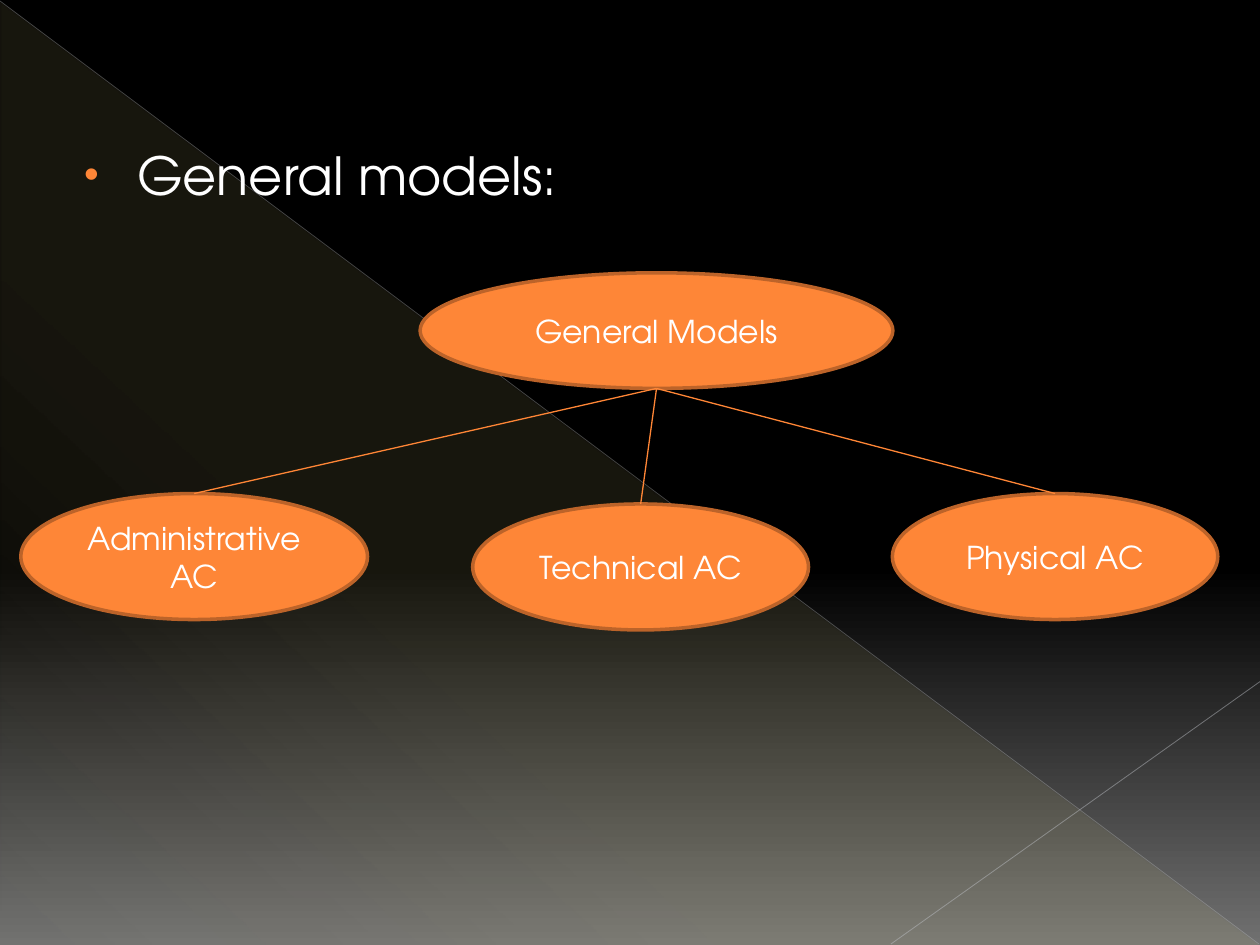
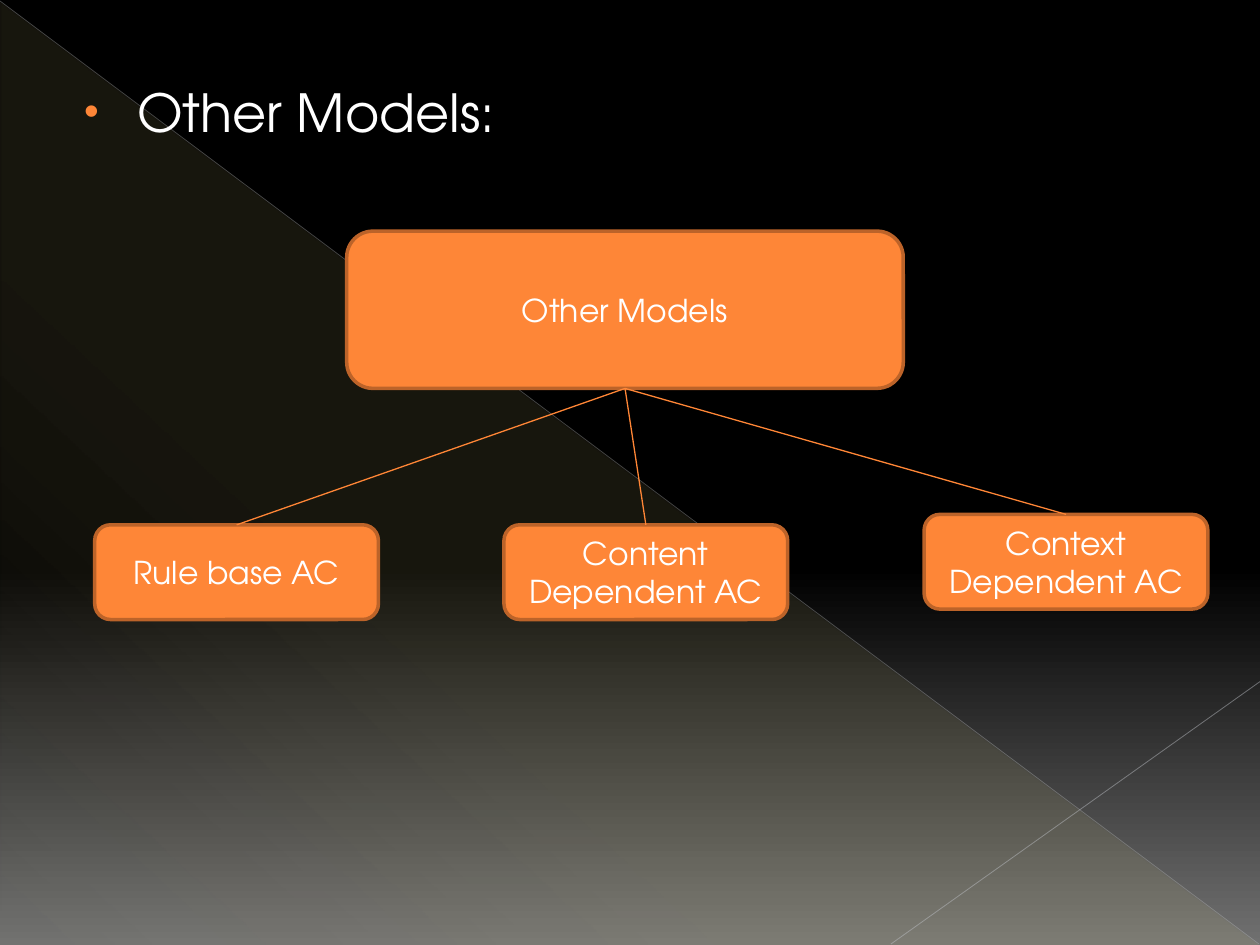
import pptx
import pptx.util
import pptx.dml.color
import pptx.enum.shapes
import pptx.enum.text
import pptx.oxml
import pptx.oxml.ns
import lxml.etree

Cm, Pt, qn = pptx.util.Cm, pptx.util.Pt, pptx.oxml.ns.qn
SHAPES = pptx.enum.shapes.MSO_SHAPE

FONT = "TeX Gyre Adventor"
COLORS = {
    "black": "000000",
    "floor": "707070",
    "beam": "FFF39D",
    "beam_edge": "BABDC4",
    "cross_edge": "C1C4CA",
    "node": "FE8637",
    "node_edge": "BC6329",
    "branch": "FF8636",
    "text": "FFFFFF",
}


def rgb(name):
    return pptx.dml.color.RGBColor.from_string(COLORS[name])


def add_child(parent, tag, **attributes):
    child = lxml.etree.SubElement(parent, qn(tag))
    for key, value in attributes.items():
        child.set(key, str(value))
    return child


def set_gradient(fill, owner, stops, angle):
    """Give the first gradient inside owner its (position, color, opacity) stops."""
    fill.gradient()
    gradient = next(owner.iter(qn("a:gradFill")))
    for child in list(gradient):
        gradient.remove(child)
    stop_list = add_child(gradient, "a:gsLst")
    for position, color, opacity in stops:
        stop = add_child(stop_list, "a:gs", pos=position * 1000)
        paint = add_child(stop, "a:srgbClr", val=COLORS[color])
        if opacity < 100:
            add_child(paint, "a:alpha", val=opacity * 1000)
    add_child(gradient, "a:lin", ang=angle * 60000, scaled=0)


def style_text(paragraph, size):
    for run in paragraph.runs:
        run.font.name = FONT
        run.font.size = Pt(size)
        run.font.color.rgb = rgb("text")


def add_line(slide, start, end, color, width, opacity=100):
    line = slide.shapes.add_connector(
        pptx.enum.shapes.MSO_CONNECTOR.STRAIGHT, *start, *end)
    line.line.color.rgb = rgb(color)
    line.line.width = Pt(width)
    if opacity < 100:
        paint = next(line._element.iter(qn("a:srgbClr")))
        add_child(paint, "a:alpha", val=opacity * 1000)
    add_child(line._element.spPr, "a:effectLst")
    return line


def build_backdrop(master, slide):
    """Draw the light beam on the slide, then move it to the master."""
    set_gradient(master.background.fill, master._element,
                 [(0, "black", 100), (60, "black", 100), (100, "floor", 100)], 90)

    beam = slide.shapes.add_shape(
        SHAPES.RIGHT_TRIANGLE, Cm(0.02), Cm(0.04), Cm(25.36), Cm(19))
    beam.shadow.inherit = False
    beam.line.fill.background()
    set_gradient(beam.fill, beam._element,
                 [(0, "beam", 10), (70, "beam", 8), (100, "beam", 1)], 133)

    beam_edge = add_line(slide, (Cm(0), Cm(0.02)), (Cm(25.38), Cm(19.03)),
                         "beam_edge", 0.39, 35)
    cross_edge = add_line(slide, (Cm(25.4), Cm(13.74)), (Cm(17.96), Cm(19.03)),
                          "cross_edge", 0.47, 45)

    master_tree = master.shapes._spTree
    for index, part in enumerate((beam, beam_edge, cross_edge), start=2):
        master_tree.insert(index, part._element)


def add_heading(slide, text, top, height):
    """Place the bulleted heading in the body placeholder."""
    body = slide.placeholders[1]
    body.left, body.top = Cm(1.27), Cm(top)
    body.width, body.height = Cm(22.86), Cm(height)
    body.text_frame.text = text
    heading = body.text_frame.paragraphs[0]
    style_text(heading, 30)

    properties = heading._p.get_or_add_pPr()
    properties.set("marL", str(Cm(1.24)))
    properties.set("indent", str(Cm(-1.07)))
    bullet_color = add_child(properties, "a:buClr")
    add_child(bullet_color, "a:srgbClr", val=COLORS["node"])
    add_child(properties, "a:buSzPct", val=80000)
    add_child(properties, "a:buFont", typeface="Arial")
    add_child(properties, "a:buChar", char="•")


def add_node(slide, outline, text, left, top, width, height):
    node = slide.shapes.add_shape(
        outline, Cm(left), Cm(top), Cm(width), Cm(height))
    node.shadow.inherit = False
    node.fill.solid()
    node.fill.fore_color.rgb = rgb("node")
    node.line.color.rgb = rgb("node_edge")
    node.line.width = Pt(2)
    frame = node.text_frame
    frame.word_wrap = True
    frame.vertical_anchor = pptx.enum.text.MSO_ANCHOR.MIDDLE
    frame.text = text
    frame.paragraphs[0].alignment = pptx.enum.text.PP_ALIGN.CENTER
    style_text(frame.paragraphs[0], 18)
    return node


def add_tree(slide, outline, root, children):
    """Draw a root node with a branch to the top of each child."""
    root_node = add_node(slide, outline, *root)
    child_nodes = [add_node(slide, outline, *child) for child in children]
    root_foot = (root_node.left + root_node.width // 2,
                 root_node.top + root_node.height)
    for child in child_nodes:
        child_head = (child.left + child.width // 2, child.top)
        add_line(slide, root_foot, child_head, "branch", 0.75)


def add_content_slide(deck):
    slide = deck.slides.add_slide(deck.slide_layouts[1])
    title = slide.shapes.title._element
    title.getparent().remove(title)
    return slide


def main():
    deck = pptx.Presentation()
    deck.slide_width, deck.slide_height = Cm(25.4), Cm(19.05)

    # General models
    general = add_content_slide(deck)
    build_backdrop(deck.slide_master, general)
    add_heading(general, "General models:", 2.75, 15.19)
    add_tree(general, SHAPES.OVAL,
             ("General Models", 8.47, 5.5, 9.53, 2.33),
             [("Administrative AC", 0.42, 9.95, 6.99, 2.54),
              ("Technical AC", 9.53, 10.16, 6.77, 2.54),
              ("Physical AC", 17.99, 9.95, 6.56, 2.54)])

    # Other models
    other = add_content_slide(deck)
    add_heading(other, "Other Models:", 1.48, 16.03)
    child_size = (5.72, 1.91)
    add_tree(other, SHAPES.ROUNDED_RECTANGLE,
             ("Other Models", 6.99, 4.66, 11.22, 3.17),
             [("Rule base AC", 1.91, 10.58, *child_size),
              ("Content Dependent AC", 10.16, 10.58, *child_size),
              ("Context Dependent AC", 18.63, 10.37, *child_size)])

    deck.save("out.pptx")


if __name__ == "__main__":
    main()
